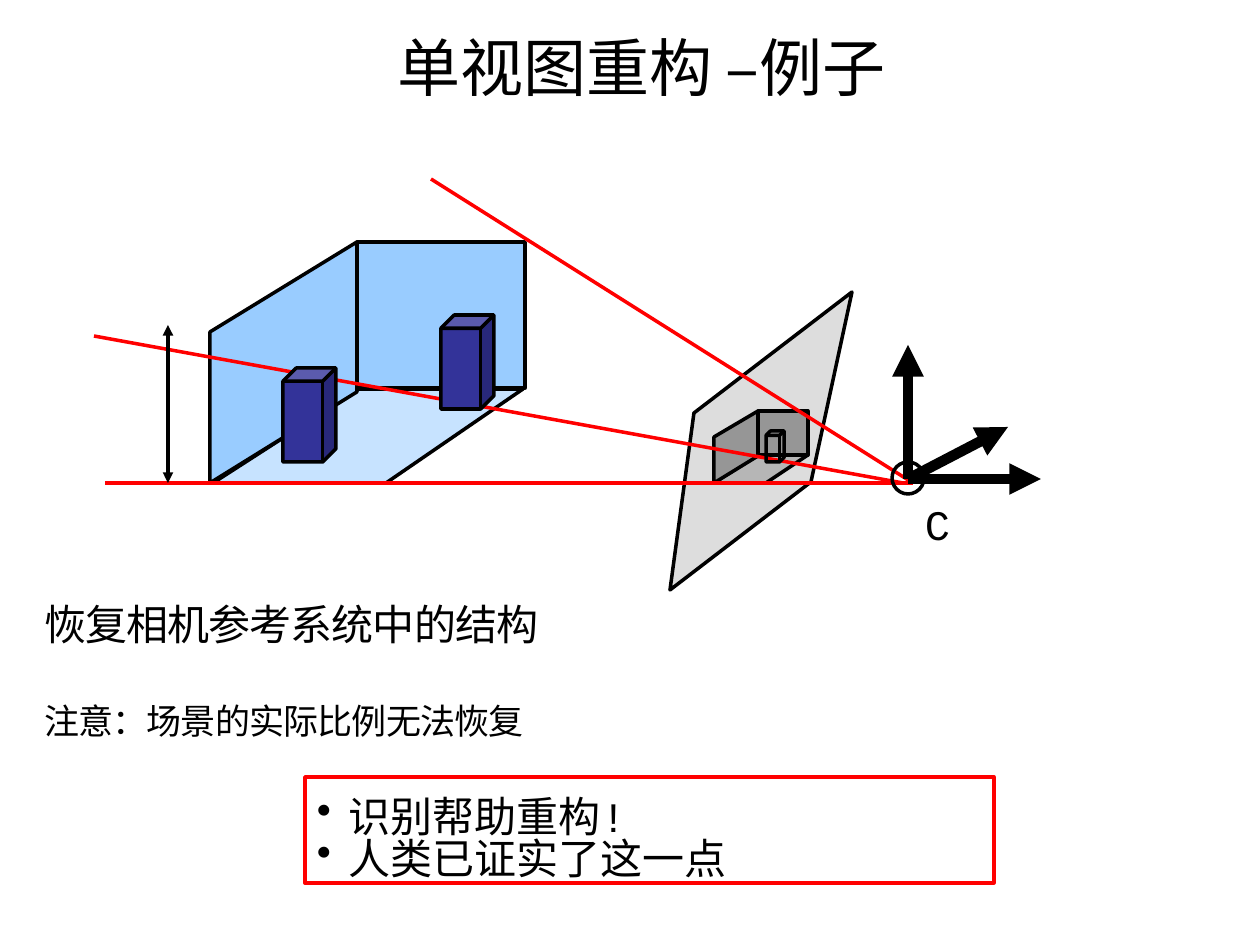
from lxml import etree
from pptx import Presentation
from pptx.dml.color import RGBColor
from pptx.enum.shapes import MSO_CONNECTOR, MSO_SHAPE
from pptx.enum.text import MSO_ANCHOR, MSO_AUTO_SIZE, PP_ALIGN
from pptx.oxml.ns import qn
from pptx.util import Emu, Pt

STRAIGHT = MSO_CONNECTOR.STRAIGHT
RECTANGLE, CUBE, OVAL = MSO_SHAPE.RECTANGLE, MSO_SHAPE.CUBE, MSO_SHAPE.OVAL
TOP, MIDDLE, BOTTOM = MSO_ANCHOR.TOP, MSO_ANCHOR.MIDDLE, MSO_ANCHOR.BOTTOM
NO_AUTOFIT = MSO_AUTO_SIZE.NONE
LEFT, CENTER = PP_ALIGN.LEFT, PP_ALIGN.CENTER

SCALE = 914400 / 126
COLORS = {"black": "000000", "red": "FF0000", "plane": "C0C0C0",
          "room": "99CCFF", "room image": "969696", "block": "333399"}
HAN, MONO = "Noto Sans CJK SC", "Courier New"

TITLE = ("单视图重构 –例子", (120, 27, 1043, 79))
LABELS = [
    ("C", (925, 499, 60, 48), 24, MONO, -60),
    ("恢复相机参考系统中的结构", (44, 599, 700, 61), 24, HAN, -50),
    ("注意：场景的实际比例无法恢复", (44, 700, 700, 51), 20, HAN, -50),
]
REMARKS = ["识别帮助重构!", "人类已证实了这一点"]
REMARK_BOX = (305, 777, 689, 106)

IMAGE_PLANE = [(852, 292), (694, 413), (670, 590), (811, 482)]
ROOMS = [
    {"color": "room",
     "floor": [(213, 483), (359, 389), (523, 389), (386, 483)],
     "back": (357, 242, 168, 146),
     "side": [(357, 242), (210, 332), (210, 483), (357, 392)]},
    {"color": "room image",
     "floor": [(714, 483), (758, 455), (808, 455), (766, 483)],
     "back": (758, 411, 50, 44),
     "side": [(758, 411), (714, 437), (714, 483), (758, 456)]},
]
RAYS = [((903, 483), (94, 336)), ((913, 483), (431, 179)), ((913, 483), (105, 483))]
CAMERA = (892, 462, 32, 32)
ORIGIN = (908, 479)
AXIS_TIPS = [(908, 345), (1008, 427), (1041, 479)]
BLOCKS = [((283, 368, 53, 94), "block"), ((441, 315, 53, 94), "block"),
          ((766, 431, 18, 31), None)]
HEIGHT_ARROW = ((168, 325), (168, 483))


def px(value):
    return Emu(round(value * SCALE))


def rgb(name):
    return RGBColor.from_string(COLORS[name])


def style(shape, fill=None, line="black", opacity=None):
    shape.shadow.inherit = False
    if fill:
        shape.fill.solid()
        shape.fill.fore_color.rgb = rgb(fill)
        if opacity:
            color = shape.fill._xPr.find(".//" + qn("a:srgbClr"))
            etree.SubElement(color, qn("a:alpha"), val=str(opacity * 1000))
    else:
        shape.fill.background()
    shape.line.color.rgb = rgb(line)
    shape.line.width = Pt(2)


def add_preset(slide, kind, box, **looks):
    shape = slide.shapes.add_shape(kind, *map(px, box))
    style(shape, **looks)
    return shape


def add_polygon(slide, points, **looks):
    builder = slide.shapes.build_freeform(*points[0], scale=SCALE)
    builder.add_line_segments(points[1:], close=True)
    style(builder.convert_to_shape(), **looks)


def add_line(slide, start, end, color="black", width=2, heads=()):
    connector = slide.shapes.add_connector(STRAIGHT, *map(px, start + end))
    connector.line.color.rgb = rgb(color)
    connector.line.width = Pt(width)
    line = connector.line._get_or_add_ln()
    for head in heads:
        etree.SubElement(line, qn("a:" + head), type="triangle", w="med", len="med")
    etree.SubElement(connector._element.spPr, qn("a:effectLst"))


def prepare_frame(frame, anchor=TOP):
    frame.word_wrap = True
    frame.auto_size = NO_AUTOFIT
    frame.vertical_anchor = anchor
    frame.margin_left = frame.margin_right = 0
    frame.margin_top = frame.margin_bottom = 0


def set_font(paragraph, size, name, spacing=0, align=LEFT):
    paragraph.alignment = align
    font = paragraph.font
    font.size, font.name = Pt(size), name
    font.color.rgb = rgb("black")
    defaults = paragraph._p.pPr.find(qn("a:defRPr"))
    defaults.set("spc", str(spacing))
    etree.SubElement(defaults, qn("a:ea"), typeface=HAN)


def add_label(slide, text, box, size, name, spacing):
    frame = slide.shapes.add_textbox(*map(px, box)).text_frame
    prepare_frame(frame)
    frame.text = text
    set_font(frame.paragraphs[0], size, name, spacing)


def add_title(slide, text, box):
    title = slide.shapes.title
    title.left, title.top, title.width, title.height = map(px, box)
    prepare_frame(title.text_frame, MIDDLE)
    title.text_frame.text = text
    set_font(title.text_frame.paragraphs[0], 36, HAN, -10, CENTER)


def add_remarks(slide):
    frame = add_preset(slide, RECTANGLE, REMARK_BOX, line="red").text_frame
    prepare_frame(frame, BOTTOM)
    frame.text = "\n".join(REMARKS)
    for paragraph in frame.paragraphs:
        paragraph.line_spacing = 0.84
        properties = paragraph._p.get_or_add_pPr()
        properties.set("marL", str(px(44)))
        properties.set("indent", str(-px(32)))
        etree.SubElement(properties, qn("a:buChar"), char="•")
        set_font(paragraph, 24, MONO)


def add_room(slide, room):
    add_polygon(slide, room["floor"], fill=room["color"], opacity=54)
    add_preset(slide, RECTANGLE, room["back"], fill=room["color"])
    add_polygon(slide, room["side"], fill=room["color"])


def main():
    presentation = Presentation()
    presentation.slide_width, presentation.slide_height = px(1260), px(945)
    slide = presentation.slides.add_slide(presentation.slide_layouts[5])
    add_title(slide, *TITLE)
    add_polygon(slide, IMAGE_PLANE, fill="plane", opacity=53)
    for room in ROOMS:
        add_room(slide, room)
    for start, end in RAYS:
        add_line(slide, start, end, color="red")
    add_preset(slide, OVAL, CAMERA)
    for tip in AXIS_TIPS:
        add_line(slide, ORIGIN, tip, width=6, heads=["tailEnd"])
    for box, fill in BLOCKS:
        add_preset(slide, CUBE, box, fill=fill)
    add_line(slide, *HEIGHT_ARROW, heads=["headEnd", "tailEnd"])
    for label in LABELS:
        add_label(slide, *label)
    add_remarks(slide)
    presentation.save("out.pptx")


if __name__ == "__main__":
    main()
